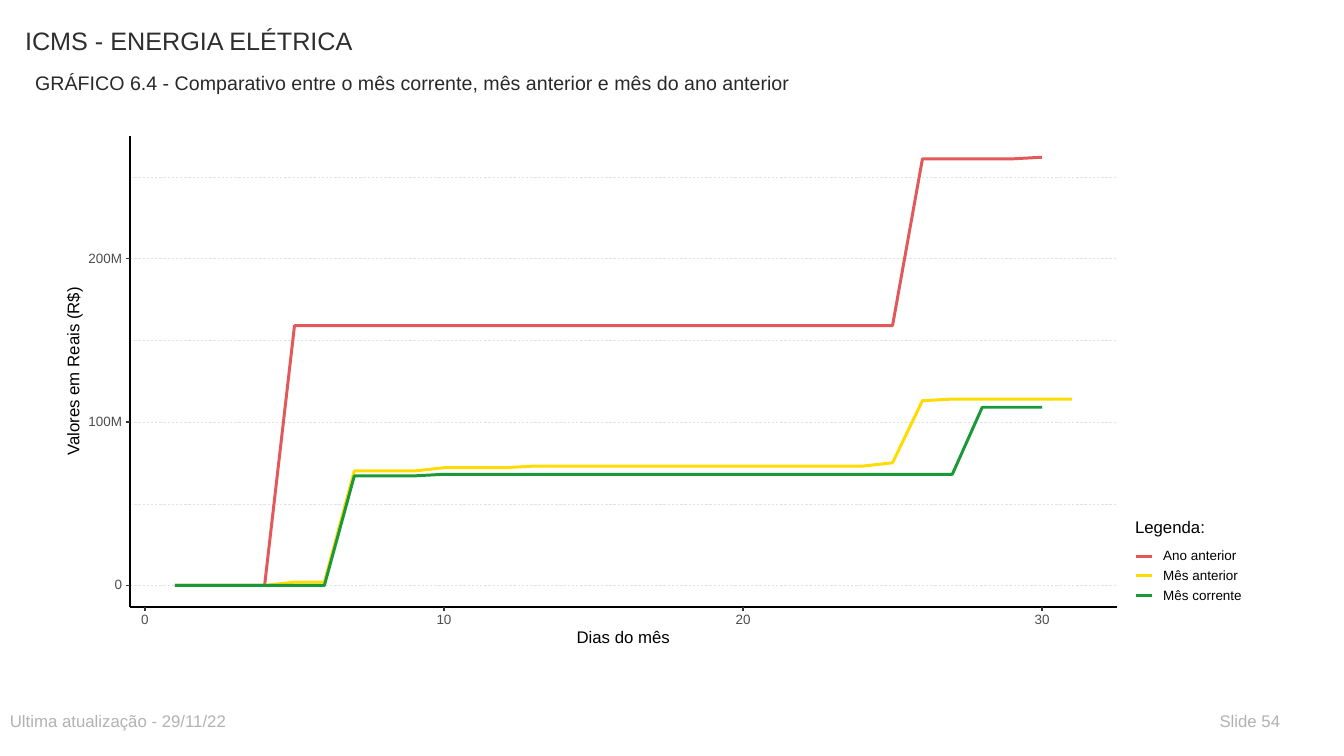
"""Build the slide comparing monthly ICMS revenue from electricity."""
from lxml import etree
from pptx import Presentation
from pptx.chart.data import CategoryChartData
from pptx.dml.color import RGBColor
from pptx.enum.chart import XL_CHART_TYPE
from pptx.enum.dml import MSO_LINE
from pptx.enum.shapes import MSO_CONNECTOR
from pptx.enum.text import MSO_ANCHOR, PP_ALIGN
from pptx.oxml.ns import qn
from pptx.util import Inches, Pt

LINE_CHART = XL_CHART_TYPE.LINE
DASH = MSO_LINE.DASH
STRAIGHT = MSO_CONNECTOR.STRAIGHT
TOP, MIDDLE = MSO_ANCHOR.TOP, MSO_ANCHOR.MIDDLE
LEFT, CENTER, RIGHT = PP_ALIGN.LEFT, PP_ALIGN.CENTER, PP_ALIGN.RIGHT

FONT = "Arial"
BLACK = RGBColor(0x00, 0x00, 0x00)
TITLE_GRAY = RGBColor(0x2D, 0x2E, 0x2D)
SUBTITLE_GRAY = RGBColor(0x29, 0x29, 0x29)
TICK_GRAY = RGBColor(0x33, 0x33, 0x33)
LABEL_GRAY = RGBColor(0x4D, 0x4D, 0x4D)
FOOTER_GRAY = RGBColor(0xB2, 0xB2, 0xB2)
GRID_GRAY = RGBColor(0xE3, 0xE2, 0xE1)
RED = RGBColor(0xE3, 0x59, 0x59)
YELLOW = RGBColor(0xFF, 0xDC, 0x00)
GREEN = RGBColor(0x1A, 0x99, 0x38)

presentation = Presentation()
presentation.slide_width = Inches(13.33)
presentation.slide_height = Inches(7.5)
COLUMN = presentation.slide_width / 40
ROW = presentation.slide_height / 30
slide = presentation.slides.add_slide(presentation.slide_layouts[6])


def add_text(text, left, top, width, height, size, color, label=True, alignment=LEFT):
    """Add a text box on the grid; a label has no margins and is centred vertically."""
    box = slide.shapes.add_textbox(
        int(left * COLUMN), int(top * ROW), int(width * COLUMN), int(height * ROW))
    frame = box.text_frame
    frame.word_wrap = True
    frame.vertical_anchor = MIDDLE if label else TOP
    if label:
        frame.margin_left = frame.margin_right = frame.margin_top = frame.margin_bottom = 0
    frame.text = text
    paragraph = frame.paragraphs[0]
    paragraph.alignment = alignment
    font = paragraph.runs[0].font
    font.name, font.size, font.color.rgb = FONT, Pt(size), color
    return box


def add_line(left, top, right, bottom, color, width):
    """Add a straight line without a shadow on the grid."""
    connector = slide.shapes.add_connector(
        STRAIGHT, int(left * COLUMN), int(top * ROW), int(right * COLUMN), int(bottom * ROW))
    connector.line.color.rgb = color
    connector.line.width = Pt(width)
    etree.SubElement(connector._element.spPr, qn("a:effectLst"))
    return connector


add_text("ICMS - ENERGIA ELÉTRICA", 0.45, 0.8, 24, 2.36, 18, TITLE_GRAY, label=False)
add_text("GRÁFICO 6.4 - Comparativo entre o mês corrente, mês anterior e mês do ano anterior",
         0.75, 2.6, 24, 1.2, 14, SUBTITLE_GRAY, label=False)

PLOT_LEFT, PLOT_TOP, PLOT_WIDTH, PLOT_HEIGHT = 3.87, 5.4, 29.37, 18.68
PLOT_RIGHT, PLOT_BOTTOM = PLOT_LEFT + PLOT_WIDTH, PLOT_TOP + PLOT_HEIGHT
DAYS = range(33)
LOWEST, HIGHEST = -13, 275
DAY_STEP = PLOT_WIDTH / len(DAYS)
MILLION = PLOT_HEIGHT / (HIGHEST - LOWEST)
ZERO_ROW = PLOT_BOTTOM + LOWEST * MILLION

for millions in range(0, 300, 50):
    if millions < HIGHEST:
        grid_row = ZERO_ROW - millions * MILLION
        gridline = add_line(PLOT_LEFT, grid_row, PLOT_RIGHT, grid_row, GRID_GRAY, 0.43)
        gridline.line.dash_style = DASH

# Each series lists (millions of reais, number of days at that value).
MONTHS = [
    ("Ano anterior", RED, [(0, 4), (159, 21), (261, 4), (262, 1)]),
    ("Mês anterior", YELLOW,
     [(0, 4), (2, 2), (70, 3), (72, 3), (73, 12), (75, 1), (113, 1), (114, 5)]),
    ("Mês corrente", GREEN, [(0, 6), (67, 3), (68, 18), (109, 3)]),
]
chart_data = CategoryChartData()
chart_data.categories = DAYS
for name, color, levels in MONTHS:
    values = [value for value, days in levels for _ in range(days)]
    padding = [None] * (len(DAYS) - 1 - len(values))
    chart_data.add_series(name, [None] + values + padding)

CHART_LEFT, CHART_TOP, CHART_WIDTH, CHART_HEIGHT = 1.8, 4, 35.43, 22
chart = slide.shapes.add_chart(
    LINE_CHART, int(CHART_LEFT * COLUMN), int(CHART_TOP * ROW),
    int(CHART_WIDTH * COLUMN), int(CHART_HEIGHT * ROW), chart_data).chart
chart.has_title = False
chart.has_legend = False
chart.font.name = FONT
chart.font.size = Pt(9.6)
chart.font.color.rgb = LABEL_GRAY
chart.plots[0].vary_by_categories = False
for series, (name, color, levels) in zip(chart.plots[0].series, MONTHS):
    series.smooth = False
    series.format.line.color.rgb = color
    series.format.line.width = Pt(2.13)
chart.value_axis.minimum_scale = LOWEST
chart.value_axis.maximum_scale = HIGHEST
for axis in (chart.category_axis, chart.value_axis):
    axis.has_major_gridlines = False
    axis.visible = False

plot_area = chart._chartSpace.chart.plotArea
for layout in plot_area.findall(qn("c:layout")):
    plot_area.remove(layout)
layout = etree.Element(qn("c:layout"))
plot_area.insert(0, layout)
manual_layout = etree.SubElement(layout, qn("c:manualLayout"))
for tag, value in [
    ("layoutTarget", "inner"), ("xMode", "edge"), ("yMode", "edge"),
    ("x", (PLOT_LEFT - CHART_LEFT) / CHART_WIDTH), ("y", (PLOT_TOP - CHART_TOP) / CHART_HEIGHT),
    ("w", PLOT_WIDTH / CHART_WIDTH), ("h", PLOT_HEIGHT / CHART_HEIGHT),
]:
    etree.SubElement(manual_layout, qn("c:" + tag)).set("val", str(value))
area_fill = etree.SubElement(plot_area, qn("c:spPr"))
etree.SubElement(area_fill, qn("a:noFill"))
chart_fill = etree.Element(qn("c:spPr"))
etree.SubElement(chart_fill, qn("a:noFill"))
chart._chartSpace.chart.addnext(chart_fill)

add_line(PLOT_LEFT, PLOT_TOP, PLOT_LEFT, PLOT_BOTTOM, BLACK, 1.16)
add_line(PLOT_LEFT, PLOT_BOTTOM, PLOT_RIGHT, PLOT_BOTTOM, BLACK, 1.16)
for millions, text in [(0, "0"), (100, "100M"), (200, "200M")]:
    tick_row = ZERO_ROW - millions * MILLION
    add_line(PLOT_LEFT - 0.12, tick_row, PLOT_LEFT, tick_row, TICK_GRAY, 1.16)
    add_text(text, 2.13, tick_row - 0.24, 1.5, 0.4, 9.6, LABEL_GRAY, alignment=RIGHT)
for day in range(0, 40, 10):
    tick_column = PLOT_LEFT + (day + 0.5) * DAY_STEP
    add_line(tick_column, PLOT_BOTTOM, tick_column, PLOT_BOTTOM + 0.16, TICK_GRAY, 1.16)
    add_text(str(day), tick_column - 0.5, 24.36, 1, 0.4, 9.6, LABEL_GRAY, alignment=CENTER)
add_text("Dias do mês", 17.16, 25.02, 3, 0.48, 12, BLACK)
value_title = add_text("Valores em Reais (R$)", -0.54, 14.4, 5.4, 0.68, 12, BLACK,
                       alignment=CENTER)
value_title.rotation = 270

add_text("Legenda:", 33.78, 20.6, 2.3, 0.6, 12, BLACK)
for position, (name, color, levels) in enumerate(MONTHS):
    key_row = 22.07 + 0.78 * position
    add_line(33.81, key_row, 34.29, key_row, color, 2.13)
    add_text(name, 34.62, key_row - 0.23, 2.6, 0.4, 9.6, BLACK)

add_text("Ultima atualização - 29/11/22", 0, 28, 19.5, 1.2, 12, FOOTER_GRAY, label=False)
add_text("Slide 54", 36, 28, 2.7, 1.2, 12, FOOTER_GRAY, label=False)

presentation.save("out.pptx")
